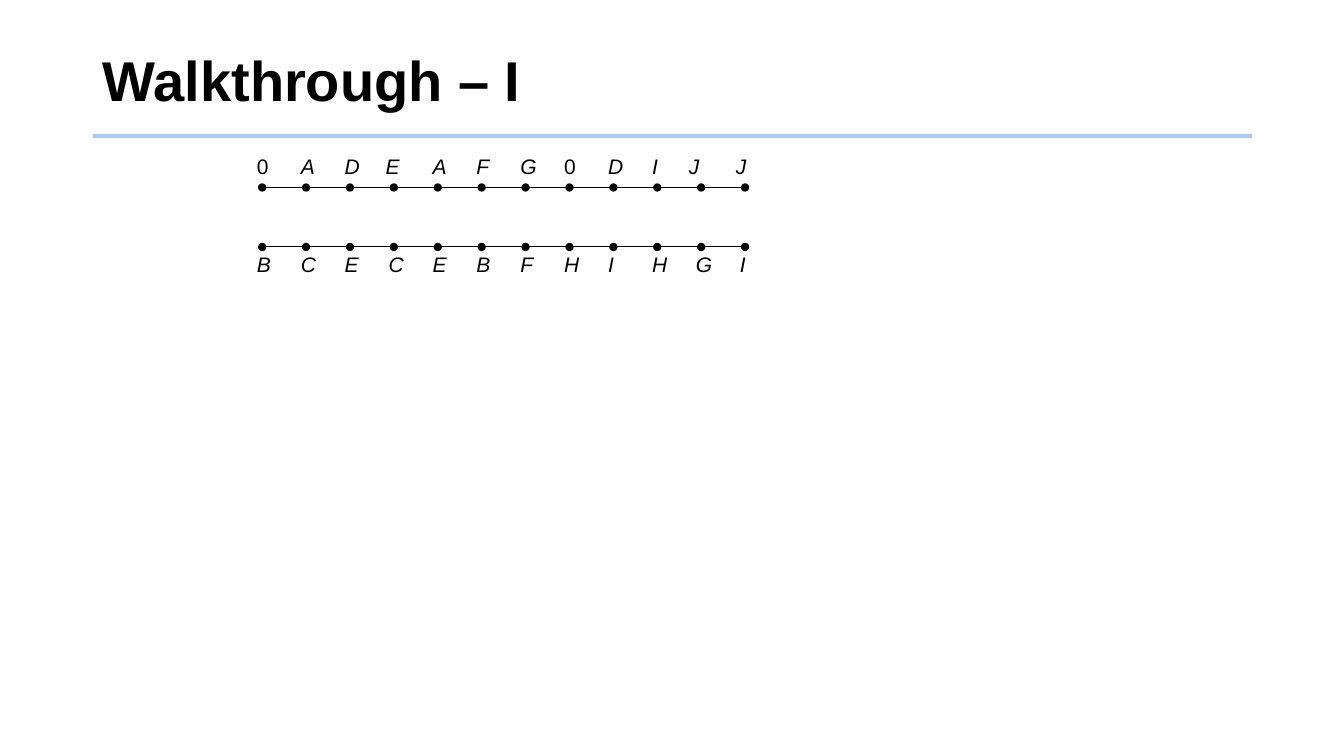
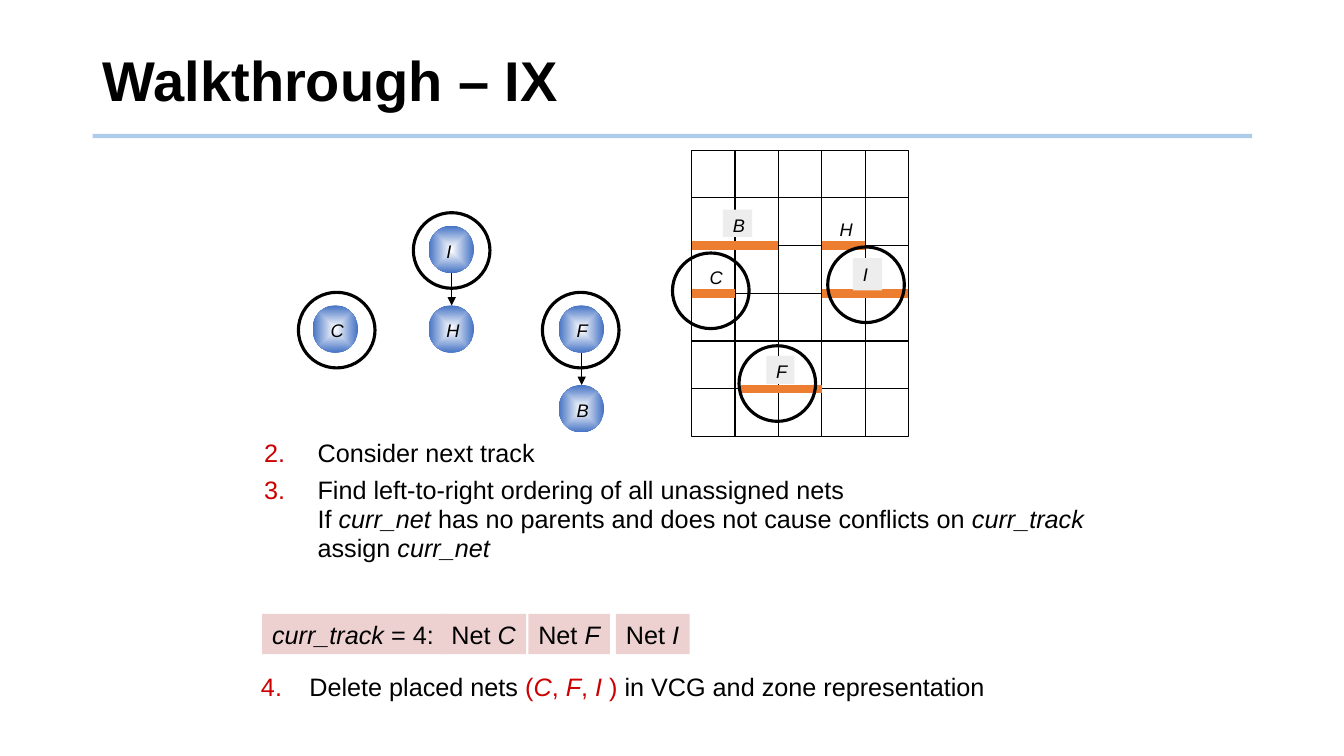
"""Build two slides that walk through left-edge channel routing."""
from typing import NamedTuple, Optional

from lxml import etree
from pptx import Presentation
from pptx.dml.color import RGBColor
from pptx.enum import shapes, text
from pptx.oxml import ns
from pptx.slide import Slide
from pptx.util import Inches, Pt

FONT = "Arial"
BLACK, RED, WHITE = "000000", "CC0000", "FFFFFF"
RULE, NODE, TRACK = "5B9BD5", "4472C4", "ED7D31"
GREY, PINK = "EDEDED", "EDD1D1"
TITLE_ONLY, TITLE_BODY = 5, 1

PIN_X, PIN_PITCH = 2.6, 4.79 / 11
LABEL_W, LABEL_H = 0.36, 0.35
GRID_X, GRID_Y, GRID_W, GRID_H = 6.86, 1.49, 2.15, 2.84
COLS, ROWS = 5, 6
CELL_W, CELL_H = GRID_W / COLS, GRID_H / ROWS
NODE_W, NODE_H = 0.45, 0.47
RING_W, RING_H = 0.76, 0.75


class Box(NamedTuple):
    x: float
    y: float
    w: float
    h: float


class Run(NamedTuple):
    text: str
    italic: bool = False
    color: str = BLACK


class PinRow(NamedTuple):
    names: str
    line_y: float
    label_y: float
    nudges: dict[int, float]


class Node(NamedTuple):
    name: str
    x: float
    y: float


class Segment(NamedTuple):
    start: float
    end: float
    row: int


class Tag(NamedTuple):
    name: str
    box: Box
    fill: Optional[str] = None


class Chip(NamedTuple):
    x: float
    w: float
    runs: list[Run]


PIN_ROWS = [
    PinRow("0ADEAFG0DIJJ", 1.86, 1.47, {3: -0.03, 10: -0.07, 11: -0.04}),
    PinRow("BCECEBFHIHGI", 2.45, 2.45, {}),
]
NODES = [
    Node("C", 3.1, 3.03),
    Node("B", 5.54, 3.82),
    Node("F", 5.54, 3.03),
    Node("H", 4.25, 3.03),
    Node("I", 4.25, 2.24),
]
EDGES = [(4.48, 2.71), (5.77, 3.5)]
SEGMENTS = [
    Segment(0, 2, 2),
    Segment(3, 4, 2),
    Segment(0, 1, 3),
    Segment(3, 5, 3),
    Segment(1.14, 3, 5),
]
TAGS = [
    Tag("H", Box(8.23, 2.12, 0.29, 0.32)),
    Tag("C", Box(6.94, 2.59, 0.29, 0.32)),
    Tag("I", Box(8.46, 2.56, 0.29, 0.32), GREY),
    Tag("F", Box(7.6, 3.53, 0.28, 0.28), GREY),
    Tag("B", Box(7.17, 2.08, 0.29, 0.27), GREY),
]
CHIPS = [
    Chip(2.6, 1.81, [Run("curr_track", True), Run(" = 4:")]),
    Chip(4.38, 0.84, [Run("Net "), Run("C", True)]),
    Chip(5.24, 0.81, [Run("Net "), Run("F", True)]),
    Chip(6.11, 0.73, [Run("Net "), Run("I", True)]),
]
RINGS = [(2.96, 2.9), (6.67, 2.51), (5.38, 2.9), (7.33, 3.43), (4.1, 2.11), (8.21, 2.45)]
STEPS = [
    [Run("Consider next track")],
    [
        Run("Find left-to-right ordering of all unassigned nets\nIf "),
        Run("curr_net", True),
        Run(" has no parents and does not cause conflicts on "),
        Run("curr_track\n", True),
        Run("assign "),
        Run("curr_net", True),
    ],
]
LAST_STEP = [
    Run("Delete placed nets "),
    Run("(", False, RED),
    Run("C", True, RED),
    Run(", ", False, RED),
    Run("F", True, RED),
    Run(", ", False, RED),
    Run("I ", True, RED),
    Run(")", False, RED),
    Run(" in VCG and zone representation"),
]


def rgb(color: str) -> RGBColor:
    """Turn a hex string into a colour."""
    return RGBColor.from_string(color)


def emu(box: Box) -> list[int]:
    """Give the edges of a box as lengths."""
    return [Inches(v) for v in box]


def place(sp, box: Box) -> None:
    """Move a placeholder to a box."""
    sp.left, sp.top, sp.width, sp.height = emu(box)


def add_xml(parent, tag: str, **attrs: str):
    """Append a drawing element to a parent."""
    return etree.SubElement(parent, ns.qn(tag), attrs)


def style(p, size: float, bold: bool = False, italic: bool = False) -> None:
    """Set the font that all runs of a paragraph share."""
    p.font.name, p.font.size = FONT, Pt(size)
    p.font.bold, p.font.italic = bold, italic
    p.font.color.rgb = rgb(BLACK)


def add_runs(p, runs: list[Run]) -> None:
    """Write runs, with a line break at each newline."""
    for run in runs:
        for i, part in enumerate(run.text.split("\n")):
            if i:
                p.add_line_break()
            if part:
                r = p.add_run()
                r.text = part
                if run.italic:
                    r.font.italic = True
                if run.color != BLACK:
                    r.font.color.rgb = rgb(run.color)


def set_frame(sp, anchor=text.MSO_ANCHOR.TOP):
    """Prepare the text frame of a shape and return it."""
    tf = sp.text_frame
    tf.word_wrap, tf.auto_size = True, text.MSO_AUTO_SIZE.NONE
    tf.vertical_anchor = anchor
    return tf


def add_line(s: Slide, x1: float, y1: float, x2: float, y2: float, color: str = BLACK,
             width: float = 0.75, head: str = "", tail: str = "", alpha: int = 100) -> None:
    """Draw a straight line, with optional ends and transparency."""
    sp = s.shapes.add_connector(shapes.MSO_CONNECTOR.STRAIGHT, *map(Inches, (x1, y1, x2, y2)))
    sp.line.color.rgb, sp.line.width = rgb(color), Pt(width)
    spPr = sp._element.spPr
    ln = spPr.find(ns.qn("a:ln"))
    if alpha < 100:
        add_xml(ln.find(".//" + ns.qn("a:srgbClr")), "a:alpha", val=str(alpha * 1000))
    for tag, end in (("a:headEnd", head), ("a:tailEnd", tail)):
        if end:
            add_xml(ln, tag, type=end)
    add_xml(spPr, "a:effectLst")


def add_shape(s: Slide, kind, box: Box, fill: Optional[str] = None, line: float = 0):
    """Draw a preset shape with a plain fill or a black outline."""
    sp = s.shapes.add_shape(kind, *emu(box))
    sp.shadow.inherit = False
    if fill:
        sp.fill.solid()
        sp.fill.fore_color.rgb = rgb(fill)
    else:
        sp.fill.background()
    if line:
        sp.line.color.rgb, sp.line.width = rgb(BLACK), Pt(line)
    else:
        sp.line.fill.background()
    return sp


def add_label(s: Slide, box: Box, runs: list[Run], size: float,
              fill: Optional[str] = None, italic: bool = False) -> None:
    """Write a one-line label, on a filled box if a fill is given."""
    if fill:
        sp = add_shape(s, shapes.MSO_SHAPE.RECTANGLE, box, fill)
    else:
        sp = s.shapes.add_textbox(*emu(box))
    tf = set_frame(sp)
    tf.margin_right = tf.margin_bottom = 0
    p = tf.paragraphs[0]
    p.alignment = text.PP_ALIGN.LEFT
    style(p, size, italic=italic)
    add_runs(p, runs)


def add_steps(sp, steps: list[list[Run]], start: int, indent: float, spacing: float) -> None:
    """Write numbered steps into a shape."""
    tf = set_frame(sp)
    for i, runs in enumerate(steps):
        p = tf.add_paragraph() if i else tf.paragraphs[0]
        p.line_spacing, p.space_before = spacing, Pt(6 if i else 0)
        pPr = p._p.get_or_add_pPr()
        pPr.set("marL", str(Inches(indent)))
        pPr.set("indent", str(-Inches(indent)))
        add_xml(add_xml(pPr, "a:buClr"), "a:srgbClr", val=RED)
        add_xml(pPr, "a:buAutoNum", type="arabicPeriod", startAt=str(start))
        style(p, 18)
        add_runs(p, runs)


def add_slide(prs, layout: int, title: str) -> Slide:
    """Add a slide with the shared title and rule."""
    s = prs.slides.add_slide(prs.slide_layouts[layout])
    add_line(s, 0.92, 1.35, 12.42, 1.35, RULE, 3, alpha=50)
    place(s.shapes.title, Box(0.92, 0.28, 11.5, 1.1))
    p = set_frame(s.shapes.title, text.MSO_ANCHOR.MIDDLE).paragraphs[0]
    p.alignment, p.line_spacing = text.PP_ALIGN.LEFT, 0.9
    style(p, 40, bold=True)
    add_runs(p, [Run(title)])
    return s


def add_pin_row(s: Slide, row: PinRow) -> None:
    """Draw one side of the channel with its pins and names."""
    for i, name in enumerate(row.names):
        x = PIN_X + i * PIN_PITCH
        if i:
            add_line(s, x - PIN_PITCH, row.line_y, x, row.line_y,
                     head="oval" if i == 1 else "", tail="oval")
        box = Box(x - 0.15 + row.nudges.get(i, 0), row.label_y, LABEL_W, LABEL_H)
        add_label(s, box, [Run(name)], 15, italic=name != "0")


def add_node(s: Slide, node: Node) -> None:
    """Draw a graph node with a radial fill and its name."""
    sp = add_shape(s, shapes.MSO_SHAPE.OVAL, Box(node.x, node.y, NODE_W, NODE_H))
    sp.fill.gradient()
    for stop, color in zip(sp.fill.gradient_stops, (WHITE, NODE)):
        stop.color.rgb = rgb(color)
    grad = sp._element.spPr.find(ns.qn("a:gradFill"))
    grad.remove(grad.find(ns.qn("a:lin")))
    center = dict.fromkeys("ltrb", "50000")
    add_xml(add_xml(grad, "a:path", path="shape"), "a:fillToRect", **center)
    add_label(s, Box(node.x + 0.08, node.y + 0.09, 0.43, 0.32), [Run(node.name)], 13, italic=True)


def add_grid(s: Slide) -> None:
    """Draw the zone grid and the net segments on it."""
    right, bottom = GRID_X + GRID_W, GRID_Y + GRID_H
    add_shape(s, shapes.MSO_SHAPE.RECTANGLE, Box(GRID_X, GRID_Y, GRID_W, GRID_H), line=0.75)
    for col in range(1, COLS):
        add_line(s, GRID_X + col * CELL_W, GRID_Y, GRID_X + col * CELL_W, bottom)
    for row in range(1, ROWS):
        add_line(s, GRID_X, GRID_Y + row * CELL_H, right, GRID_Y + row * CELL_H)
    for seg in SEGMENTS:
        y = GRID_Y + seg.row * CELL_H
        add_line(s, GRID_X + seg.start * CELL_W, y, GRID_X + seg.end * CELL_W, y, TRACK, 6)


def main() -> None:
    """Build and save both slides."""
    prs = Presentation()
    prs.slide_width, prs.slide_height = Inches(13.33), Inches(7.5)

    s = add_slide(prs, TITLE_ONLY, "Walkthrough – I")
    for row in PIN_ROWS:
        add_pin_row(s, row)

    s = add_slide(prs, TITLE_BODY, "Walkthrough – IX")
    for node in NODES:
        add_node(s, node)
    for x, y in EDGES:
        add_line(s, x, y, x, y + 0.32, tail="triangle")
    add_grid(s)
    for tag in TAGS:
        add_label(s, tag.box, [Run(tag.name)], 13, tag.fill, italic=True)
    for chip in CHIPS:
        add_label(s, Box(chip.x, 6.09, chip.w, 0.4), chip.runs, 18, PINK)
    for x, y in RINGS:
        add_shape(s, shapes.MSO_SHAPE.OVAL, Box(x, y, RING_W, RING_H), line=2.25)
    body = s.placeholders[1]
    place(body, Box(2.52, 4.31, 8.65, 1.34))
    add_steps(body, STEPS, 2, 0.53, 0.95)
    sp = s.shapes.add_textbox(*emu(Box(2.49, 6.66, 8.68, 0.35)))
    add_steps(sp, [LAST_STEP], 4, 0.48, 0.85)
    prs.save("out.pptx")


if __name__ == "__main__":
    main()
